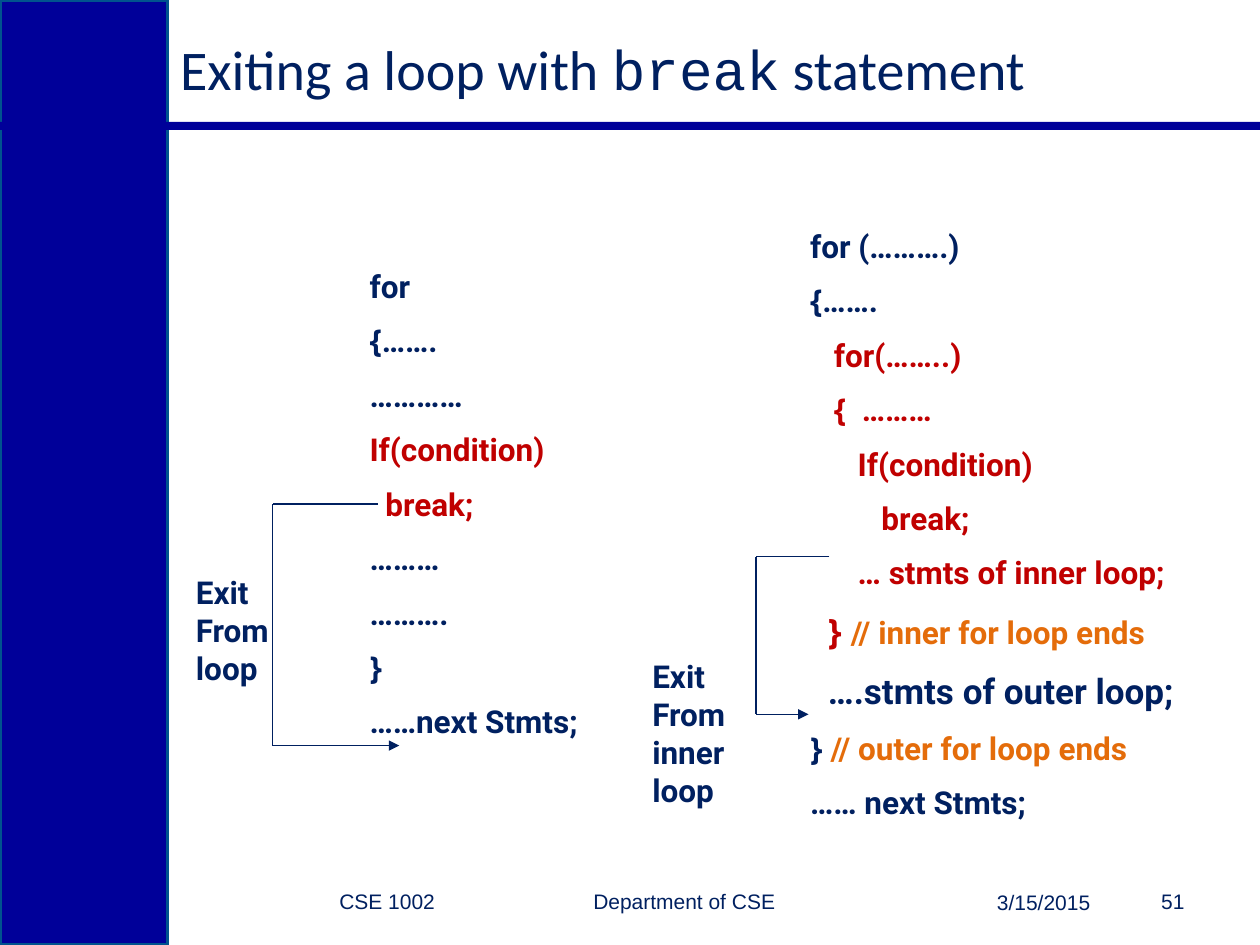
from lxml import etree
from pptx import Presentation
from pptx.dml.color import RGBColor
from pptx.enum.shapes import MSO_CONNECTOR, MSO_SHAPE
from pptx.enum.text import MSO_ANCHOR, PP_ALIGN
from pptx.oxml.ns import qn
from pptx.util import Cm, Pt

RECTANGLE = MSO_SHAPE.RECTANGLE
STRAIGHT = MSO_CONNECTOR.STRAIGHT
TOP, MIDDLE = MSO_ANCHOR.TOP, MSO_ANCHOR.MIDDLE
LEFT, RIGHT = PP_ALIGN.LEFT, PP_ALIGN.RIGHT

NAVY = RGBColor(0x00, 0x20, 0x60)
BLUE = RGBColor(0x00, 0x00, 0x99)
EDGE = RGBColor(0x00, 0x53, 0x8E)
RED = RGBColor(0xC0, 0x00, 0x00)
ORANGE = RGBColor(0xE4, 0x6C, 0x0A)

BODY, BRACE, FOOTER = "Roboto", "Noto Sans", "Arial"
LOOP_STEP = 0.48  # indent of one nesting level, in cm


class SlideBuilder:
    """Holds the style and the current slide."""

    def __init__(self, page):
        self.page = page

    def bar(self, left, top, width, height, edge=None):
        shape = self.page.shapes.add_shape(
            RECTANGLE, Cm(left), Cm(top), Cm(width), Cm(height))
        shape.shadow.inherit = False
        shape.fill.solid()
        shape.fill.fore_color.rgb = BLUE
        if edge is None:
            shape.line.fill.background()
        else:
            shape.line.color.rgb = edge
            shape.line.width = Pt(2)

    def frame(self, left, top, width, height, anchor=TOP, wrap=True):
        box = self.page.shapes.add_textbox(
            Cm(left), Cm(top), Cm(width), Cm(height))
        box.text_frame.word_wrap = wrap
        box.text_frame.vertical_anchor = anchor
        return box.text_frame

    def paragraph(self, frame, number, spans, size, bold=False, align=LEFT):
        """Add one paragraph; spans are (text, font name, colour)."""
        para = frame.paragraphs[0] if number == 0 else frame.add_paragraph()
        para.alignment = align
        para.font.size, para.font.bold = Pt(size), bold
        if len(spans) == 1:
            para.font.name = spans[0][1]
            para.font.color.rgb = spans[0][2]
        for text, name, color in spans:
            span = para.add_run()
            span.text = text
            if len(spans) > 1:
                span.font.name = name
                span.font.color.rgb = color
        return para

    def code(self, left, top, width, height, lines):
        """Lines are (indent in cm, size, spans)."""
        frame = self.frame(left, top, width, height)
        for number, (indent, size, spans) in enumerate(lines):
            para = self.paragraph(frame, number, spans, size, bold=True)
            para.space_before = Pt(9.5 if size == 18 else 10.5)
            if indent:
                properties = para._p.get_or_add_pPr()
                properties.set("marL", str(Cm(indent)))
                properties.set("indent", "0")

    def label(self, left, top, width, height, words):
        frame = self.frame(left, top, width, height, wrap=False)
        for number, word in enumerate(words):
            self.paragraph(frame, number, [(word, BODY, NAVY)], 18, bold=True)

    def footer(self, left, top, width, text):
        frame = self.frame(left, top, width, 1.02, MIDDLE)
        self.paragraph(frame, 0, [(text, FOOTER, NAVY)], 12, align=RIGHT)

    def line(self, start, end, arrow=False):
        connector = self.page.shapes.add_connector(
            STRAIGHT, *(Cm(value) for value in start + end))
        connector.line.color.rgb = NAVY
        connector.line.width = Pt(0.75)
        if arrow:
            outline = connector.line._get_or_add_ln()
            etree.SubElement(outline, qn("a:tailEnd"), type="triangle")
        etree.SubElement(connector._element.spPr, qn("a:effectLst"))

    def exit_path(self, start_x, side_x, end_x, top, bottom):
        self.line((start_x, top), (side_x, top))
        self.line((side_x, top), (side_x, bottom))
        self.line((side_x, bottom), (end_x, bottom), arrow=True)


def code_line(text, color=NAVY, indent=0, font=BODY):
    return indent, 18, [(text, font, color)]


def brace_line(brace, text, brace_color, text_color, indent=0, size=18):
    return indent, size, [(brace, BRACE, brace_color), (text, BODY, text_color)]


def main():
    deck = Presentation()
    deck.slide_width, deck.slide_height = Cm(25.4), Cm(19.05)
    builder = SlideBuilder(deck.slides.add_slide(deck.slide_layouts[6]))

    # Side band and rule
    builder.bar(0, 0, 3.38, 19.05, EDGE)
    builder.bar(0, 2.46, 25.4, 0.16)

    # Title
    title = builder.frame(3.38, 0.43, 19.9, 1.9, MIDDLE)
    builder.paragraph(title, 0, [
        ("Exiting a loop with ", "Calibri", NAVY),
        ("break", "Courier New", NAVY),
        (" statement", "Calibri", NAVY)], 32)

    # Single loop
    builder.code(7.2, 5.26, 7.41, 10.19, [
        code_line("for"),
        brace_line("{", "…….", NAVY, NAVY),
        code_line("…………"),
        code_line("If(condition)", RED),
        code_line("break;", RED, 0.32),
        code_line("………"),
        code_line("………."),
        code_line("}", font=BRACE),
        code_line("……next Stmts;"),
    ])
    builder.exit_path(7.62, 5.5, 8.05, 10.16, 15.03)
    builder.label(3.7, 11.43, 2, 2.56, ["Exit", "From", "loop"])

    # Nested loops
    builder.code(16.08, 4.45, 8.05, 12.83, [
        code_line("for (……….)"),
        brace_line("{", "…….", NAVY, NAVY),
        code_line("for(……..)", RED, LOOP_STEP),
        brace_line("{", "  ………", RED, RED, LOOP_STEP),
        code_line("If(condition)", RED, 2 * LOOP_STEP),
        code_line("break;", RED, 3 * LOOP_STEP),
        code_line("… stmts of inner loop;", RED, 2 * LOOP_STEP),
        (0.36, 20, [("} ", BRACE, RED), ("// inner for loop ends", BODY, ORANGE)]),
        (0.36, 20, [("….stmts of outer loop;", BODY, NAVY)]),
        brace_line("} ", "// outer for loop ends", NAVY, ORANGE),
        code_line("…… next Stmts;"),
    ])
    # The inner comment is smaller than its brace
    nested = builder.page.shapes[-1].text_frame
    nested.paragraphs[7].runs[1].font.size = Pt(18)
    builder.exit_path(16.72, 15.24, 16.3, 11.22, 14.4)
    builder.label(12.9, 13.13, 2, 3.33, ["Exit", "From", "inner", "loop"])

    # Footer
    builder.footer(3.6, 17.65, 5.42, "CSE 1002")
    builder.footer(9.02, 17.65, 6.86, "Department of CSE")
    builder.footer(17.78, 17.68, 4.45, "3/15/2015")
    builder.footer(22.23, 17.65, 1.9, "51")

    deck.save("out.pptx")


if __name__ == "__main__":
    main()
